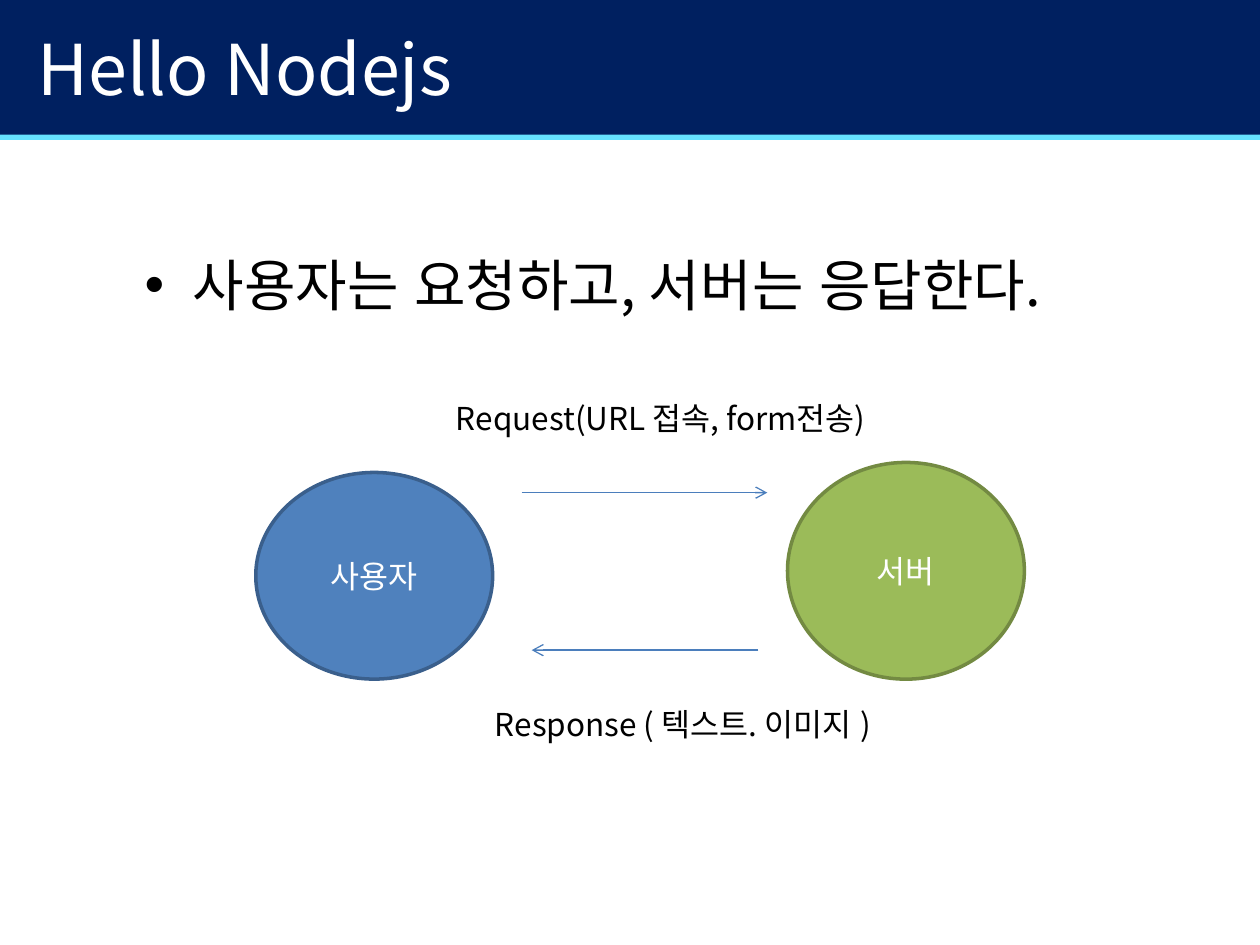
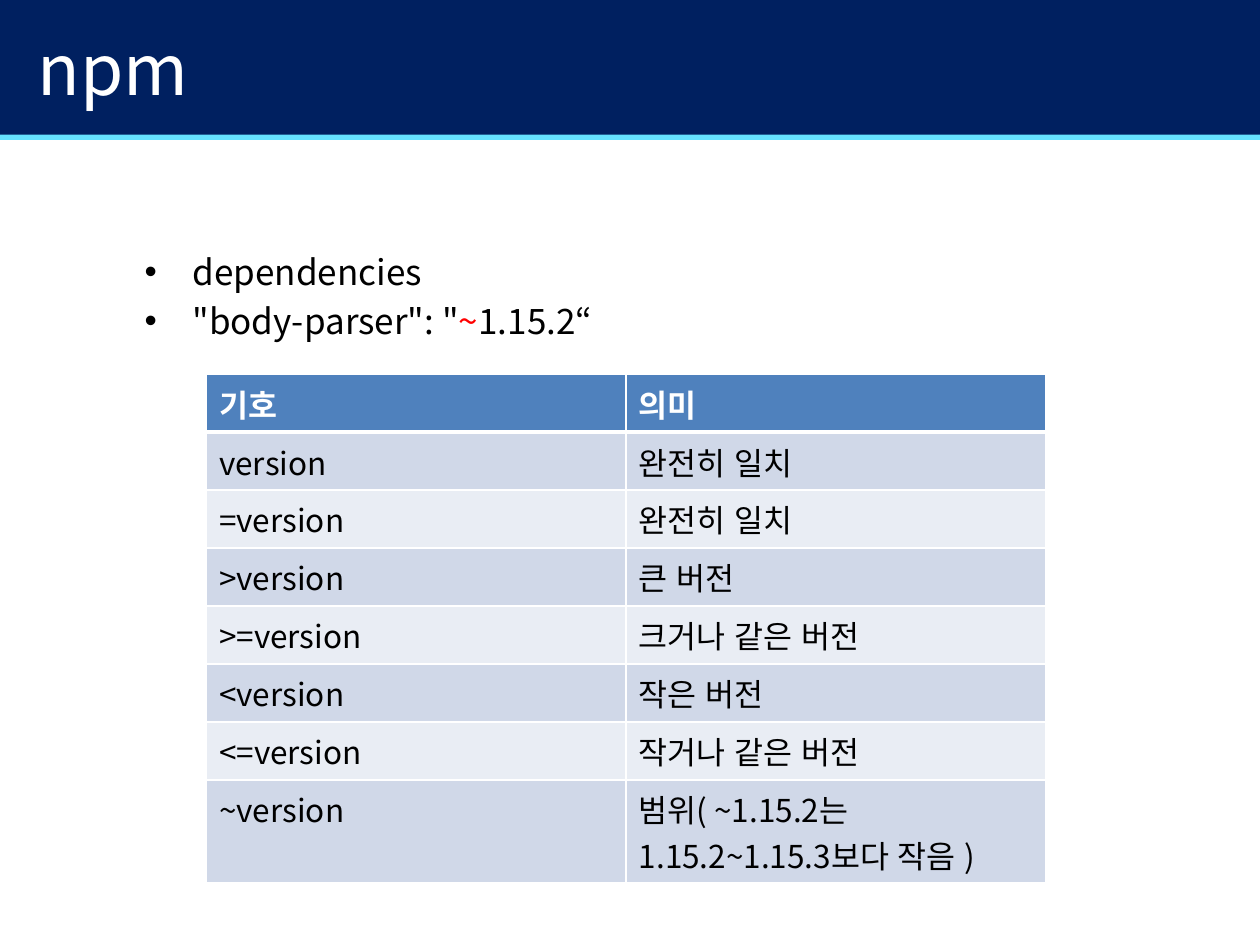
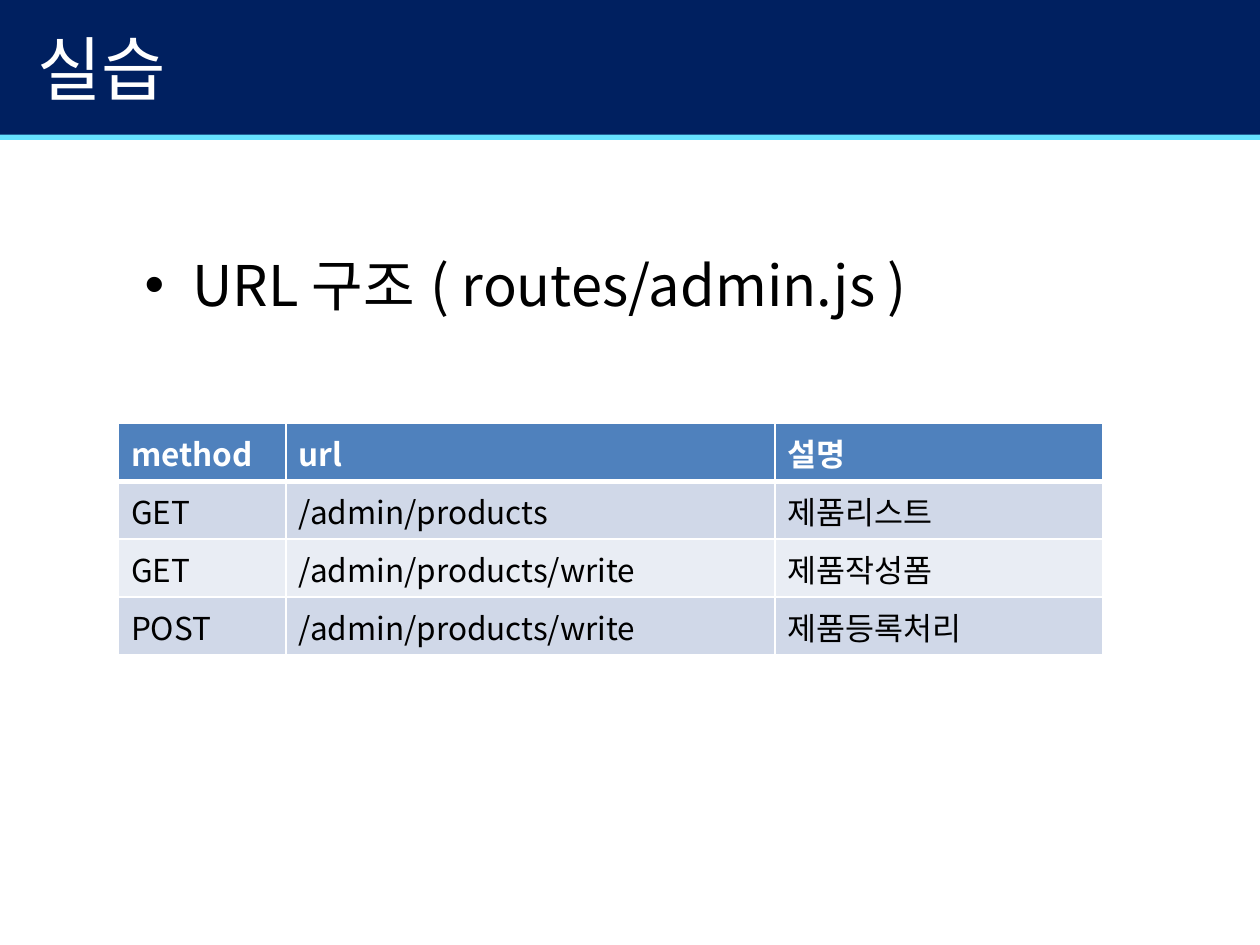
from lxml import etree
from pptx import Presentation
from pptx.dml.color import RGBColor
from pptx.enum.lang import MSO_LANGUAGE_ID as Language
from pptx.enum.shapes import MSO_CONNECTOR as Connector, MSO_SHAPE as Shape
from pptx.enum.text import MSO_ANCHOR as Anchor, PP_ALIGN as Align
from pptx.oxml.ns import qn
from pptx.util import Inches, Pt

FONT = "Noto Sans CJK KR"
NAVY, CYAN = "002060", "65E2FF"
BLUE, BLUE_EDGE, ARROW_BLUE = "4F81BD", "3A5F8C", "4B7EBC"
GREEN, GREEN_EDGE = "9BBB59", "738A42"
ROW_FILLS = ("E9EDF4", "D0D8E8")
WHITE, BLACK, RED = "FFFFFF", "000000", "FF0000"
ROW_HEIGHT, TWO_LINE_ROW_HEIGHT = 0.46, 0.82


def rgb(color):
    return RGBColor.from_string(color)


def inches(*lengths):
    return [Inches(length) for length in lengths]


class Deck:
    """Holds the shared style and the slide being drawn."""

    def __init__(self):
        self.presentation = Presentation()
        self.presentation.slide_width = Inches(10)
        self.presentation.slide_height = Inches(7.5)
        self.slide = None

    def new_slide(self, title):
        self.slide = self.presentation.slides.add_slide(self.presentation.slide_layouts[6])
        self.shape(Shape.RECTANGLE, (-0.01, 1.06, 10.01, 0.05), CYAN)
        self.shape(Shape.RECTANGLE, (-0.01, 0, 10.01, 1.07), NAVY)
        text_frame = self.text_box((0.2, -0.09, 9, 1.25), title, 40, WHITE)
        text_frame.vertical_anchor = Anchor.MIDDLE

    def format_paragraph(self, paragraph, size, color, bold=False):
        for run in paragraph.runs:
            run.font.name = FONT
            run.font.size = Pt(size)
            run.font.bold = bold
            run.font.language_id = Language.KOREAN
            run.font.color.rgb = rgb(color)
            east_asian = etree.SubElement(run.font._element, qn("a:ea"))
            east_asian.set("typeface", FONT)

    def shape(self, kind, box, fill, edge=None, text=""):
        shape = self.slide.shapes.add_shape(kind, *inches(*box))
        shape.shadow.inherit = False
        shape.fill.solid()
        shape.fill.fore_color.rgb = rgb(fill)
        if edge:
            shape.line.color.rgb = rgb(edge)
            shape.line.width = Pt(2)
        else:
            shape.line.fill.background()
        if text:
            shape.text_frame.text = text
            shape.text_frame.vertical_anchor = Anchor.MIDDLE
            paragraph = shape.text_frame.paragraphs[0]
            paragraph.alignment = Align.CENTER
            self.format_paragraph(paragraph, 18, WHITE)

    def text_box(self, box, text, size, color=BLACK):
        text_frame = self.slide.shapes.add_textbox(*inches(*box)).text_frame
        text_frame.word_wrap = True
        text_frame.text = text
        for paragraph in text_frame.paragraphs:
            self.format_paragraph(paragraph, size, color)
        return text_frame

    def bullets(self, lines, size):
        text_frame = self.text_box((1.05, 1.94, 7.9, 4.41), "\n".join(lines), size)
        for paragraph in text_frame.paragraphs:
            paragraph.space_before = Pt(size * 0.2)
            properties = paragraph._p.get_or_add_pPr()
            properties.set("marL", str(Inches(0.38)))
            properties.set("indent", str(Inches(-0.38)))
            etree.SubElement(properties, qn("a:buFont")).set("typeface", "Arial")
            etree.SubElement(properties, qn("a:buChar")).set("char", "•")
        return text_frame

    def arrow(self, start_x, end_x, y):
        connector = self.slide.shapes.add_connector(
            Connector.STRAIGHT, *inches(start_x, y, end_x, y))
        connector.line.color.rgb = rgb(ARROW_BLUE)
        connector.line.width = Pt(0.75)
        line = connector.line._get_or_add_ln()
        etree.SubElement(line, qn("a:tailEnd")).set("type", "arrow")
        etree.SubElement(connector._element.spPr, qn("a:effectLst"))

    def cell_borders(self, cell, bottom_width, top_width):
        properties = cell._tc.get_or_add_tcPr()
        widths = {"lnL": 1, "lnR": 1, "lnT": top_width, "lnB": bottom_width}
        for position, (side, width) in enumerate(widths.items()):
            line = etree.Element(qn(f"a:{side}"), w=str(Pt(width)))
            fill = etree.SubElement(line, qn("a:solidFill"))
            etree.SubElement(fill, qn("a:srgbClr")).set("val", WHITE)
            properties.insert(position, line)

    def table(self, left, top, column_widths, rows):
        box = (left, top, sum(column_widths), ROW_HEIGHT * len(rows))
        table = self.slide.shapes.add_table(
            len(rows), len(column_widths), *inches(*box)).table
        for column, width in zip(table.columns, column_widths):
            column.width = Inches(width)
        for row_index, texts in enumerate(rows):
            header = row_index == 0
            table.rows[row_index].height = Inches(ROW_HEIGHT)
            for column_index, text in enumerate(texts):
                cell = table.cell(row_index, column_index)
                cell.text_frame.text = text
                self.format_paragraph(cell.text_frame.paragraphs[0], 18,
                                      WHITE if header else BLACK, bold=header)
                cell.fill.solid()
                cell.fill.fore_color.rgb = rgb(BLUE if header else ROW_FILLS[row_index % 2])
                self.cell_borders(cell, bottom_width=3 if header else 1,
                                  top_width=3 if row_index == 1 else 1)
        return table


def request_slide(deck):
    deck.new_slide("Hello Nodejs")
    deck.bullets(["사용자는 요청하고, 서버는 응답한다."], 32)
    # User and server
    deck.shape(Shape.OVAL, (2.03, 3.75, 1.88, 1.64), BLUE, BLUE_EDGE, "사용자")
    deck.shape(Shape.OVAL, (6.25, 3.67, 1.88, 1.72), GREEN, GREEN_EDGE, "서버")
    # Request and response
    deck.arrow(4.14, 6.09, 3.91)
    deck.arrow(6.02, 4.22, 5.16)
    deck.text_box((3.52, 3.12, 3.51, 0.4), "Request(URL 접속, form전송)", 18)
    deck.text_box((3.83, 5.55, 3.37, 0.4), "Response ( 텍스트. 이미지 )", 18)


def npm_slide(deck):
    deck.new_slide("npm")
    text_frame = deck.bullets(["dependencies", ""], 20)
    # Dependency line with the range sign in red
    dependency = text_frame.paragraphs[1]
    for text in ('"body-parser": "', "~", "1.15.2“"):
        dependency.add_run().text = text
    deck.format_paragraph(dependency, 20, BLACK)
    dependency.runs[1].font.color.rgb = rgb(RED)
    # Version signs
    table = deck.table(1.64, 2.97, (3.33, 3.33), [
        ("기호", "의미"),
        ("version", "완전히 일치"),
        ("=version", "완전히 일치"),
        (">version", "큰 버전"),
        (">=version", "크거나 같은 버전"),
        ("<version", "작은 버전"),
        ("<=version", "작거나 같은 버전"),
        ("~version", "범위( ~1.15.2는 1.15.2~1.15.3보다 작음 )"),
    ])
    table.rows[7].height = Inches(TWO_LINE_ROW_HEIGHT)


def practice_slide(deck):
    deck.new_slide("실습")
    deck.bullets(["URL 구조 ( routes/admin.js )"], 32)
    # Routes
    deck.table(0.94, 3.36, (1.33, 3.88, 2.6), [
        ("method", "url", "설명"),
        ("GET", "/admin/products", "제품리스트"),
        ("GET", "/admin/products/write", "제품작성폼"),
        ("POST", "/admin/products/write", "제품등록처리"),
    ])


def main():
    deck = Deck()
    request_slide(deck)
    npm_slide(deck)
    practice_slide(deck)
    deck.presentation.save("out.pptx")


if __name__ == "__main__":
    main()
